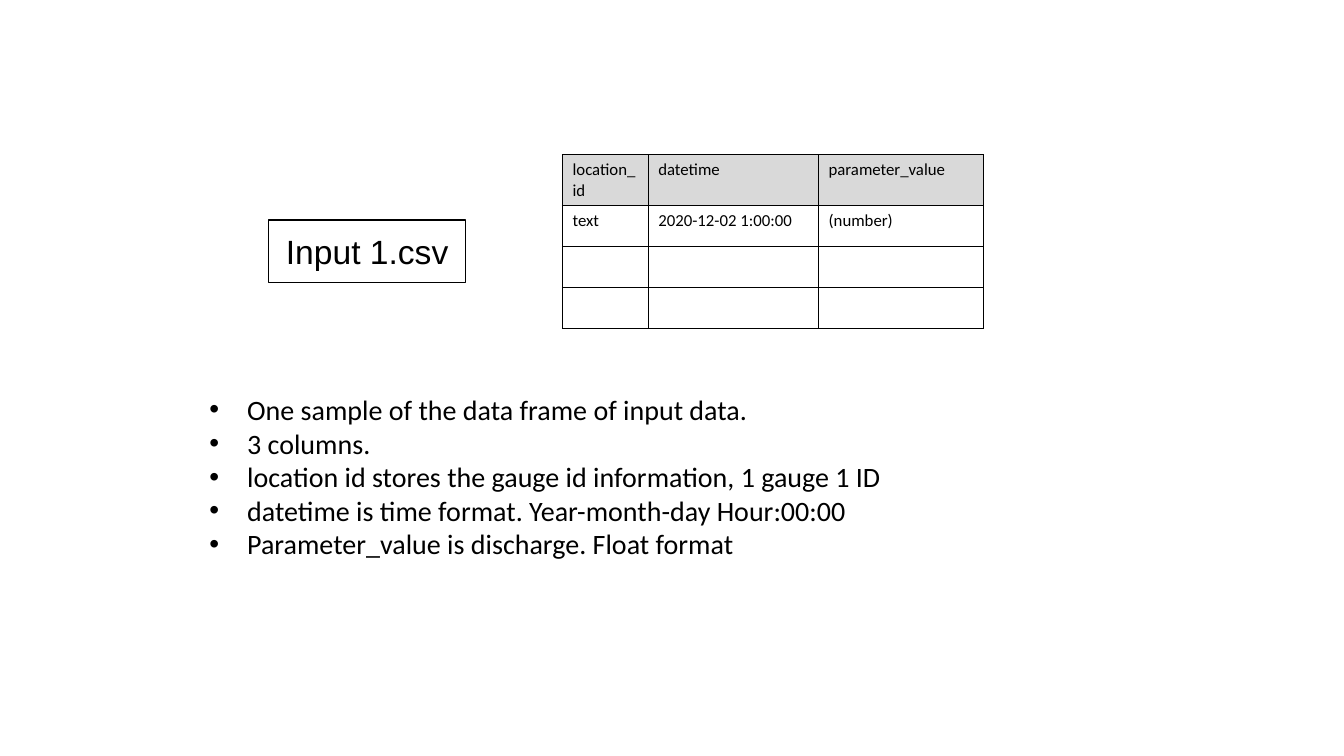
from lxml.etree import SubElement
from pptx import Presentation
from pptx.dml.color import RGBColor
from pptx.enum.shapes import MSO_SHAPE
from pptx.enum.text import MSO_ANCHOR, MSO_AUTO_SIZE, PP_ALIGN
from pptx.oxml.ns import qn
from pptx.util import Pt

INK = "000000"
GREY = "D9D9D9"
LABEL = {"name": "Arial", "size": Pt(24)}
CELL = {"name": "Calibri", "size": Pt(12), "bold": False}
NOTE = {"name": "Calibri", "size": Pt(20)}
WIDTHS = [61.2, 121.7, 118.1]
HEIGHTS = [13, 29.2, 29.2, 29.2]
ROWS = [
    ["location_id", "datetime", "parameter_value"],
    ["text", "2020-12-02 1:00:00", "(number)"],
    ["", "", ""],
    ["", "", ""],
]
NOTES = [
    "One sample of the data frame of input data.",
    "3 columns.",
    "location id stores the gauge id information, 1 gauge 1 ID",
    "datetime is time format. Year-month-day Hour:00:00",
    "Parameter_value is discharge. Float format",
]


def paint(color, code):
    color.rgb = RGBColor.from_string(code)


def apply(item, values):
    for name, value in values.items():
        setattr(item, name, value)


def write(para, text, style):
    run = para.add_run()
    run.text = text
    apply(run.font, style)
    paint(run.font.color, INK)


def edge(cell):
    props = cell._tc.get_or_add_tcPr()
    for side in ("lnL", "lnR", "lnT", "lnB"):
        line = SubElement(props, qn(f"a:{side}"), w=str(Pt(1)))
        fill = SubElement(line, qn("a:solidFill"))
        SubElement(fill, qn("a:srgbClr"), val=INK)


def add_label(slide, box, text):
    shape = slide.shapes.add_shape(MSO_SHAPE.RECTANGLE, *map(Pt, box))
    shape.shadow.inherit = False
    shape.fill.background()
    paint(shape.line.color, INK)
    shape.line.width = Pt(1)
    frame = shape.text_frame
    apply(frame, {"word_wrap": False, "vertical_anchor": MSO_ANCHOR.MIDDLE})
    para = frame.paragraphs[0]
    para.alignment = PP_ALIGN.CENTER
    write(para, text, LABEL)


def add_grid(slide, box, rows):
    size = len(rows), len(rows[0])
    table = slide.shapes.add_table(*size, *map(Pt, box)).table
    apply(table, {"first_row": False, "horz_banding": False})
    for col, width in zip(table.columns, WIDTHS):
        col.width = Pt(width)
    for row, height in zip(table.rows, HEIGHTS):
        row.height = Pt(height)
    for i, texts in enumerate(rows):
        for j, text in enumerate(texts):
            cell = table.cell(i, j)
            edge(cell)
            if i == 0:
                cell.fill.solid()
                paint(cell.fill.fore_color, GREY)
            else:
                cell.fill.background()
            if text:
                write(cell.text_frame.paragraphs[0], text, CELL)


def add_notes(slide, box, notes):
    frame = slide.shapes.add_textbox(*map(Pt, box)).text_frame
    apply(frame, {"word_wrap": False, "auto_size": MSO_AUTO_SIZE.SHAPE_TO_FIT_TEXT})
    for i, note in enumerate(notes):
        para = frame.add_paragraph() if i else frame.paragraphs[0]
        props = para._p.get_or_add_pPr()
        apply_indent = {"marL": Pt(27), "indent": -Pt(27)}
        for name, value in apply_indent.items():
            props.set(name, str(value))
        SubElement(props, qn("a:buFont"), typeface="Arial")
        SubElement(props, qn("a:buChar"), char="•")
        write(para, note, NOTE)


def main():
    deck = Presentation()
    apply(deck, {"slide_width": Pt(960), "slide_height": Pt(540)})
    slide = deck.slides.add_slide(deck.slide_layouts[6])
    add_grid(slide, (401.8, 110.5, sum(WIDTHS), sum(HEIGHTS)), ROWS)
    add_label(slide, (192, 157, 140.5, 44.6), "Input 1.csv")
    add_notes(slide, (142.4, 276.8, 502.5, 128), NOTES)
    deck.save("out.pptx")


if __name__ == "__main__":
    main()
